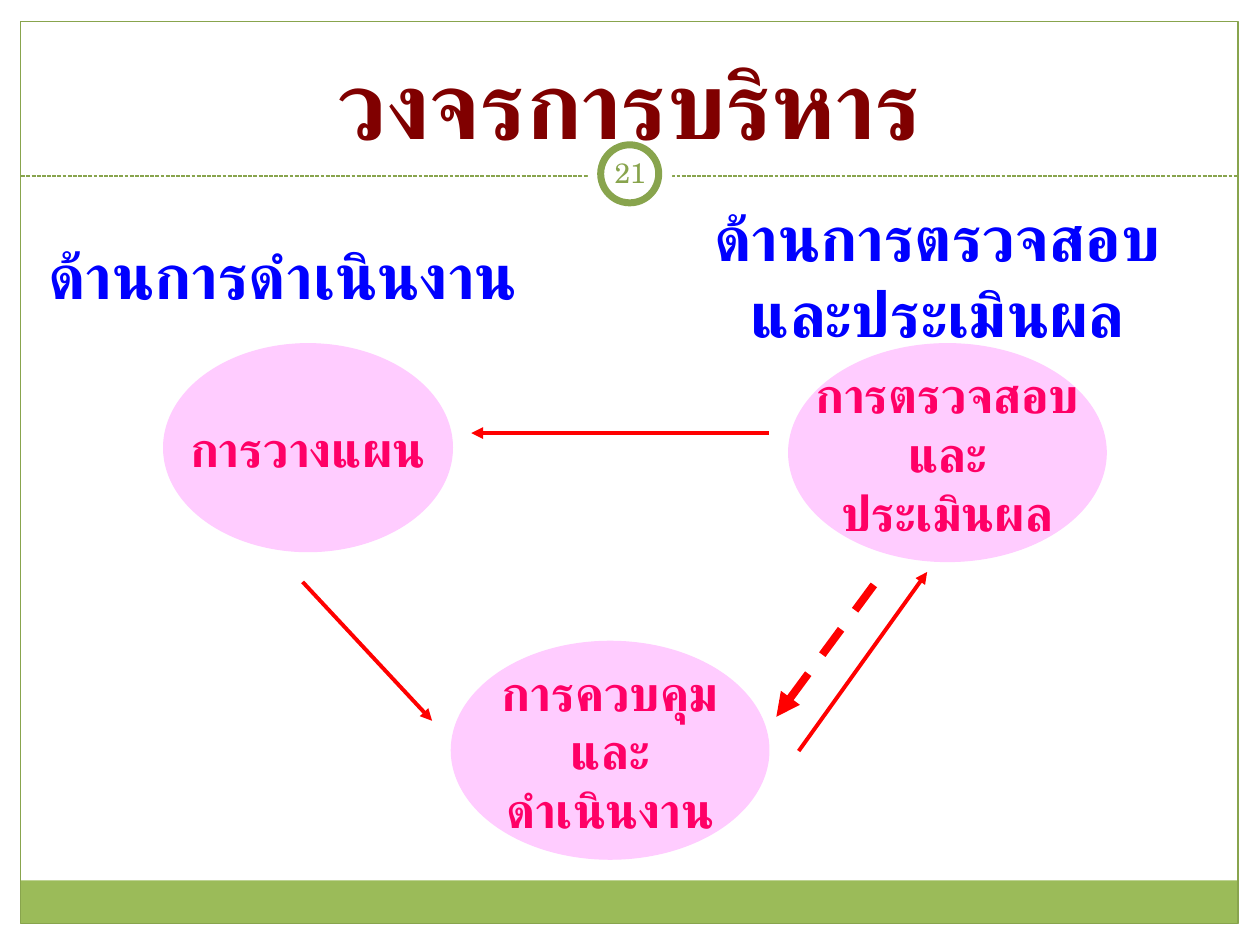
from typing import NamedTuple, Optional

from lxml import etree
from pptx import Presentation
from pptx.dml.color import RGBColor
from pptx.enum.dml import MSO_LINE
from pptx.enum.shapes import MSO_CONNECTOR, MSO_SHAPE
from pptx.enum.text import MSO_ANCHOR, PP_ALIGN
from pptx.oxml.ns import qn
from pptx.util import Cm, Pt

RECT, OVAL = MSO_SHAPE.RECTANGLE, MSO_SHAPE.OVAL
STRAIGHT = MSO_CONNECTOR.STRAIGHT
DASH, DOTS = MSO_LINE.DASH, MSO_LINE.SQUARE_DOT
MIDDLE, BOTTOM = MSO_ANCHOR.MIDDLE, MSO_ANCHOR.BOTTOM
CENTER = PP_ALIGN.CENTER

SANS, SERIF = "Lato", "TeX Gyre Schola"
OLIVE, GREEN, WHITE = "88A44D", "9BBB59", "FFFFFF"
MAROON, BLUE, RED = "800000", "0000FF", "FF0000"
PINK, ROSE = "FFCCFF", "FF0066"


class Box(NamedTuple):
    left: float
    top: float
    width: float
    height: float


class Style(NamedTuple):
    size: int
    color: str
    font: str = SANS
    bold: bool = True
    anchor: MSO_ANCHOR = MIDDLE
    wrap: bool = False
    inset: float = 0.25


class Label(NamedTuple):
    box: Box
    text: str
    style: Style


class Arrow(NamedTuple):
    start: tuple[float, float]
    end: tuple[float, float]
    tip: str = "a:tailEnd"
    width: float = 2.25
    dash: Optional[MSO_LINE] = None


HEAD = Style(36, BLUE)
STEP = Style(28, ROSE)

# White bands behind the title and along both sides
BANDS = [
    Box(0, 0, 25.4, 3.86),
    Box(0, 0, 0.43, 19.05),
    Box(24.97, 0, 0.43, 19.05),
]
LABELS = [
    Label(Box(0.84, 1.22, 23.7, 2.11), "วงจรการบริหาร",
          Style(54, MAROON, anchor=BOTTOM, wrap=True)),
    Label(Box(12.07, 2.87, 1.27, 1.22), "21",
          Style(16, OLIVE, SERIF, bold=False, wrap=True, inset=0.13)),
    Label(Box(0.6, 4.52, 10.2, 2.01), "ด้านการดำเนินงาน", HEAD),
    Label(Box(13.95, 4.52, 9.9, 2.01), "ด้านการตรวจสอบ\nและประเมินผล", HEAD),
]
STEPS = [
    Label(Box(3.3, 6.93, 5.82, 4.19), "การวางแผน", STEP),
    Label(Box(15.9, 6.93, 6.4, 4.39), "การตรวจสอบ\nและ\nประเมินผล", STEP),
    Label(Box(9.1, 12.93, 6.4, 4.39), "การควบคุม\nและ\nดำเนินงาน", STEP),
]
ARROWS = [
    Arrow((9.5, 8.73), (15.5, 8.73), "a:headEnd"),
    Arrow((6.1, 11.73), (8.71, 14.53)),
    Arrow((15.65, 14.45), (17.86, 11.46), "a:headEnd", 4.5, DASH),
    Arrow((16.1, 15.14), (18.69, 11.53)),
]


def paint(target, color: str) -> None:
    target.rgb = RGBColor.from_string(color)


def draw_shape(slide, kind, box: Box, fill: Optional[str] = None,
               line: Optional[str] = None, width: float = 0.75):
    shape = slide.shapes.add_shape(kind, *map(Cm, box))
    shape.shadow.inherit = False
    if fill:
        shape.fill.solid()
        paint(shape.fill.fore_color, fill)
    else:
        shape.fill.background()
    if line:
        paint(shape.line.color, line)
        shape.line.width = Pt(width)
    else:
        shape.line.fill.background()
    return shape


def draw_line(slide, start, end, color: str, width: float, dash=None):
    line = slide.shapes.add_connector(STRAIGHT, *map(Cm, (*start, *end)))
    paint(line.line.color, color)
    line.line.width = Pt(width)
    if dash:
        line.line.dash_style = dash
    etree.SubElement(line._element.spPr, qn("a:effectLst"))
    return line


def draw_arrow(slide, arrow: Arrow) -> None:
    line = draw_line(slide, arrow.start, arrow.end, RED, arrow.width, arrow.dash)
    etree.SubElement(line.line._get_or_add_ln(), qn(arrow.tip), type="triangle")


def set_text(shape, text: str, style: Style) -> None:
    frame = shape.text_frame
    frame.text = text
    frame.word_wrap = style.wrap
    frame.vertical_anchor = style.anchor
    frame.margin_left = frame.margin_right = Cm(style.inset)
    frame.margin_top = frame.margin_bottom = Cm(0.13)
    for para in frame.paragraphs:
        para.alignment = CENTER
        for run in para.runs:
            font = run.font
            font.name, font.size, font.bold = style.font, Pt(style.size), style.bold
            paint(font.color, style.color)
            # Thai letters take the complex-script font
            etree.SubElement(run._r.get_or_add_rPr(), qn("a:cs"), typeface=style.font)


def main() -> None:
    deck = Presentation()
    deck.slide_width, deck.slide_height = Cm(25.4), Cm(19.05)
    slide = deck.slides.add_slide(deck.slide_layouts[6])

    # Bands, frame and divider
    for band in BANDS:
        draw_shape(slide, RECT, band, WHITE)
    draw_shape(slide, RECT, Box(0.41, 17.75, 24.54, 0.86), GREEN)
    draw_shape(slide, RECT, Box(0.42, 0.43, 24.54, 18.19), line=OLIVE)
    draw_line(slide, (0.43, 3.55), (24.97, 3.55), OLIVE, 0.75, DOTS)

    # Page number badge
    draw_shape(slide, OVAL, Box(11.85, 2.67, 1.7, 1.7), WHITE)
    draw_shape(slide, OVAL, Box(12.11, 2.92, 1.17, 1.17), WHITE, OLIVE, 4)

    # Title, page number and headings
    for label in LABELS:
        box = slide.shapes.add_textbox(*map(Cm, label.box))
        set_text(box, label.text, label.style)

    # Cycle steps and the arrows between them
    for step in STEPS:
        oval = draw_shape(slide, OVAL, step.box, PINK, PINK)
        set_text(oval, step.text, step.style)
    for arrow in ARROWS:
        draw_arrow(slide, arrow)

    deck.save("out.pptx")


if __name__ == "__main__":
    main()
